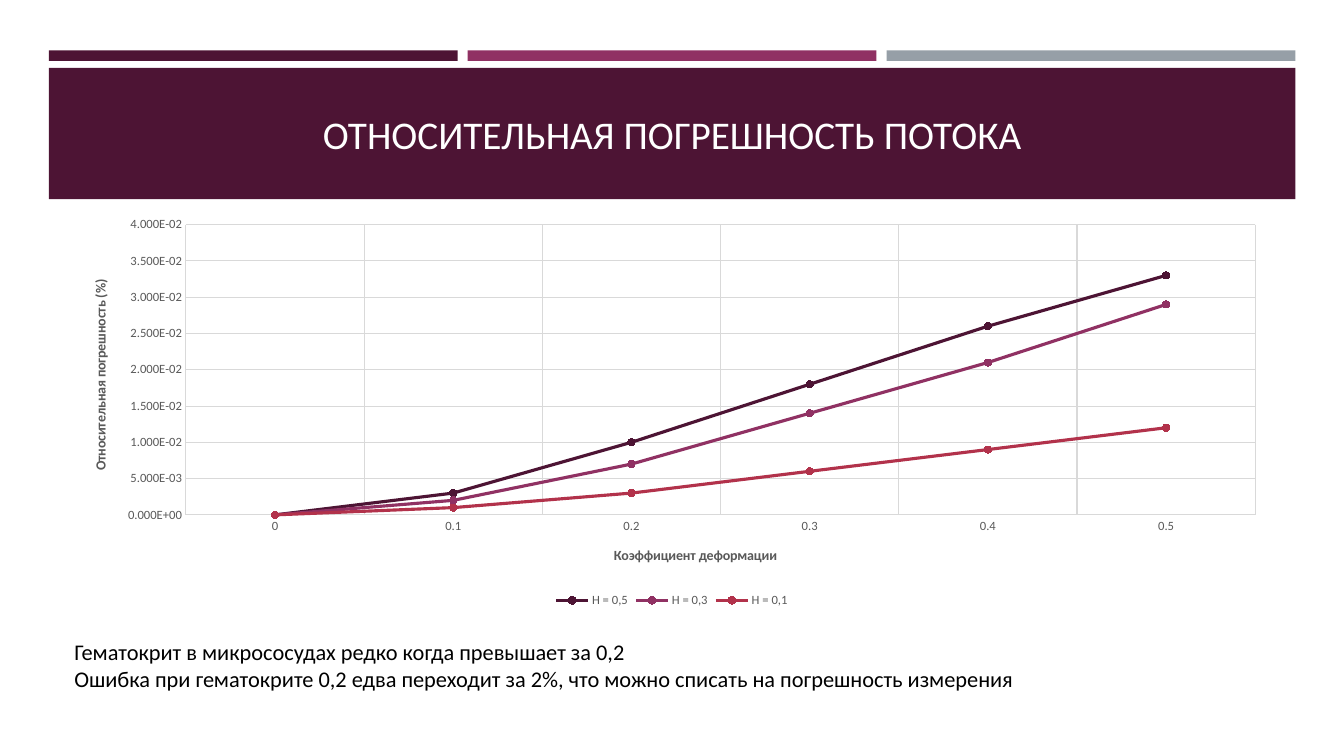
import pptx
import pptx.chart.data
import pptx.dml.color
import pptx.enum.chart
import pptx.enum.shapes
import pptx.enum.text
import pptx.oxml.ns
import pptx.oxml.xmlchemy
import pptx.util
from dataclasses import dataclass

Pt = pptx.util.Pt
qn = pptx.oxml.ns.qn
OxmlElement = pptx.oxml.xmlchemy.OxmlElement

# Content
HEADING = "ОТНОСИТЕЛЬНАЯ ПОГРЕШНОСТЬ ПОТОКА"
DEFORMATION_TITLE = "Коэффициент деформации"
ERROR_TITLE = "Относительная погрешность (%)"
DEFORMATION = [0, 0.1, 0.2, 0.3, 0.4, 0.5]
ERRORS = {
    "H = 0,5": [0, 0.003, 0.01, 0.018, 0.026, 0.033],
    "H = 0,3": [0, 0.002, 0.007, 0.014, 0.021, 0.029],
    "H = 0,1": [0, 0.001, 0.003, 0.006, 0.009, 0.012],
}
CONCLUSIONS = [
    "Гематокрит в микрососудах редко когда превышает за 0,2",
    "Ошибка при гематокрите 0,2 едва переходит за 2%, что можно списать на погрешность измерения",
]


@dataclass(frozen=True)
class Theme:
    font: str = "Calibri"
    plum: str = "4D1434"
    magenta: str = "903163"
    red: str = "B2324B"
    gray: str = "969FA7"
    grid: str = "D9D9D9"
    label: str = "595959"
    black: str = "000000"
    white: str = "FFFFFF"
    heading_size: int = 28
    conclusion_size: int = 16
    axis_title_size: int = 10
    label_size: int = 9


THEME = Theme()

# Geometry in points
SLIDE_W, SLIDE_H = 960, 540
BAND_LEFT, BAND_TOP, BAND_W, BAND_H = 34.9, 48.5, 890.4, 93.8
STRIPE_TOP, STRIPE_H, STRIPE_GAP = 36, 7.5, 7.2
STRIPE_W = (BAND_W - 2 * STRIPE_GAP) / 3
CONTENT_LEFT = 46
CONTENT_W = SLIDE_W - 2 * CONTENT_LEFT


def rgb(color):
    return pptx.dml.color.RGBColor.from_string(color)


def style_font(font, size, color, bold=False):
    font.name, font.size, font.bold = THEME.font, Pt(size), bold
    font.color.rgb = rgb(color)


def style_line(line, color, width):
    line.color.rgb = rgb(color)
    line.width = Pt(width)


def add_block(slide, left, top, width, height, color):
    block = slide.shapes.add_shape(pptx.enum.shapes.MSO_SHAPE.RECTANGLE,
                                   Pt(left), Pt(top), Pt(width), Pt(height))
    block.shadow.inherit = False
    block.fill.solid()
    block.fill.fore_color.rgb = rgb(color)
    block.line.fill.background()


def place(part, **fractions):
    """Fix a chart part at fractions of the chart's width and height."""
    layout = part.find(qn("c:layout"))
    if layout is None:
        layout = OxmlElement("c:layout")
        part.insert(0, layout)
    manual = OxmlElement("c:manualLayout")
    layout.append(manual)
    settings = {"xMode": "edge", "yMode": "edge", **fractions}
    if "w" in fractions:
        settings = {"layoutTarget": "inner", **settings}
    for name, setting in settings.items():
        node = OxmlElement(f"c:{name}")
        node.set("val", str(setting))
        manual.append(node)


def style_axis(axis, title, number_format, x, y):
    axis.has_major_gridlines = True
    style_line(axis.major_gridlines.format.line, THEME.grid, 0.75)
    axis.major_tick_mark = pptx.enum.chart.XL_TICK_MARK.NONE
    axis.minor_tick_mark = pptx.enum.chart.XL_TICK_MARK.NONE
    style_font(axis.tick_labels.font, THEME.label_size, THEME.label)
    axis.tick_labels.number_format = number_format
    axis.tick_labels.number_format_is_linked = False
    frame = axis.axis_title.text_frame
    frame.text = title
    style_font(frame.paragraphs[0].runs[0].font, THEME.axis_title_size, THEME.label, True)
    place(axis.axis_title._element, x=x, y=y)


def add_error_chart(slide):
    error_data = pptx.chart.data.CategoryChartData(number_format="0.000E+00")
    error_data.categories = DEFORMATION
    for name, errors in ERRORS.items():
        error_data.add_series(name, errors)
    chart = slide.shapes.add_chart(pptx.enum.chart.XL_CHART_TYPE.LINE_MARKERS,
                                   Pt(CONTENT_LEFT), Pt(149), Pt(CONTENT_W), Pt(288),
                                   error_data).chart
    style_font(chart.font, THEME.axis_title_size, THEME.black)
    chart.has_title = False
    chart.plots[0].vary_by_categories = False
    place(chart._chartSpace.chart.plotArea, x=0.1, y=0.04, w=0.88, h=0.72)

    # Axes
    style_axis(chart.category_axis, DEFORMATION_TITLE, "0.0", 0.45, 0.83)
    style_line(chart.category_axis.format.line, THEME.grid, 0.75)
    error_axis = chart.value_axis
    style_axis(error_axis, ERROR_TITLE, "0.000E+00", 0.02, 0.17)
    error_axis.minimum_scale, error_axis.maximum_scale = 0, 0.04
    error_axis.major_unit = 0.005
    error_axis.format.line.fill.background()
    error_axis.axis_title.text_frame._txBody.bodyPr.set("rot", "-5400000")

    # Series and legend
    for series, color in zip(chart.plots[0].series, (THEME.plum, THEME.magenta, THEME.red)):
        series.smooth = False
        style_line(series.format.line, color, 2.25)
        series.marker.style = pptx.enum.chart.XL_MARKER_STYLE.CIRCLE
        series.marker.size = 5
        series.marker.format.fill.solid()
        series.marker.format.fill.fore_color.rgb = rgb(color)
        style_line(series.marker.format.line, color, 0.75)
    chart.has_legend = True
    chart.legend.position = pptx.enum.chart.XL_LEGEND_POSITION.BOTTOM
    chart.legend.include_in_layout = False
    style_font(chart.legend.font, THEME.label_size, THEME.label)


def main():
    deck = pptx.Presentation()
    deck.slide_width, deck.slide_height = Pt(SLIDE_W), Pt(SLIDE_H)
    slide = deck.slides.add_slide(deck.slide_layouts[5])

    # Stripes and heading band
    for i, color in enumerate((THEME.plum, THEME.magenta, THEME.gray)):
        add_block(slide, BAND_LEFT + i * (STRIPE_W + STRIPE_GAP), STRIPE_TOP,
                  STRIPE_W, STRIPE_H, color)
    add_block(slide, BAND_LEFT, BAND_TOP, BAND_W, BAND_H, THEME.plum)

    # Heading, raised above the band
    heading = slide.shapes.title
    slide.shapes._spTree.append(heading._element)
    heading.left, heading.top = Pt(CONTENT_LEFT), Pt(55.5)
    heading.width, heading.height = Pt(CONTENT_W), Pt(80)
    heading.text_frame.text = HEADING
    heading.text_frame.vertical_anchor = pptx.enum.text.MSO_ANCHOR.MIDDLE
    heading_line = heading.text_frame.paragraphs[0]
    heading_line.alignment = pptx.enum.text.PP_ALIGN.CENTER
    style_font(heading_line.runs[0].font, THEME.heading_size, THEME.white)

    add_error_chart(slide)

    # Conclusions
    conclusions = slide.shapes.add_textbox(Pt(CONTENT_LEFT), Pt(452), Pt(CONTENT_W), Pt(65.5))
    conclusions.text_frame.word_wrap = True
    conclusions.text_frame.text = "\n".join(CONCLUSIONS)
    conclusions.text_frame.vertical_anchor = pptx.enum.text.MSO_ANCHOR.TOP
    for paragraph in conclusions.text_frame.paragraphs:
        style_font(paragraph.runs[0].font, THEME.conclusion_size, THEME.black)

    deck.save("out.pptx")


if __name__ == "__main__":
    main()
